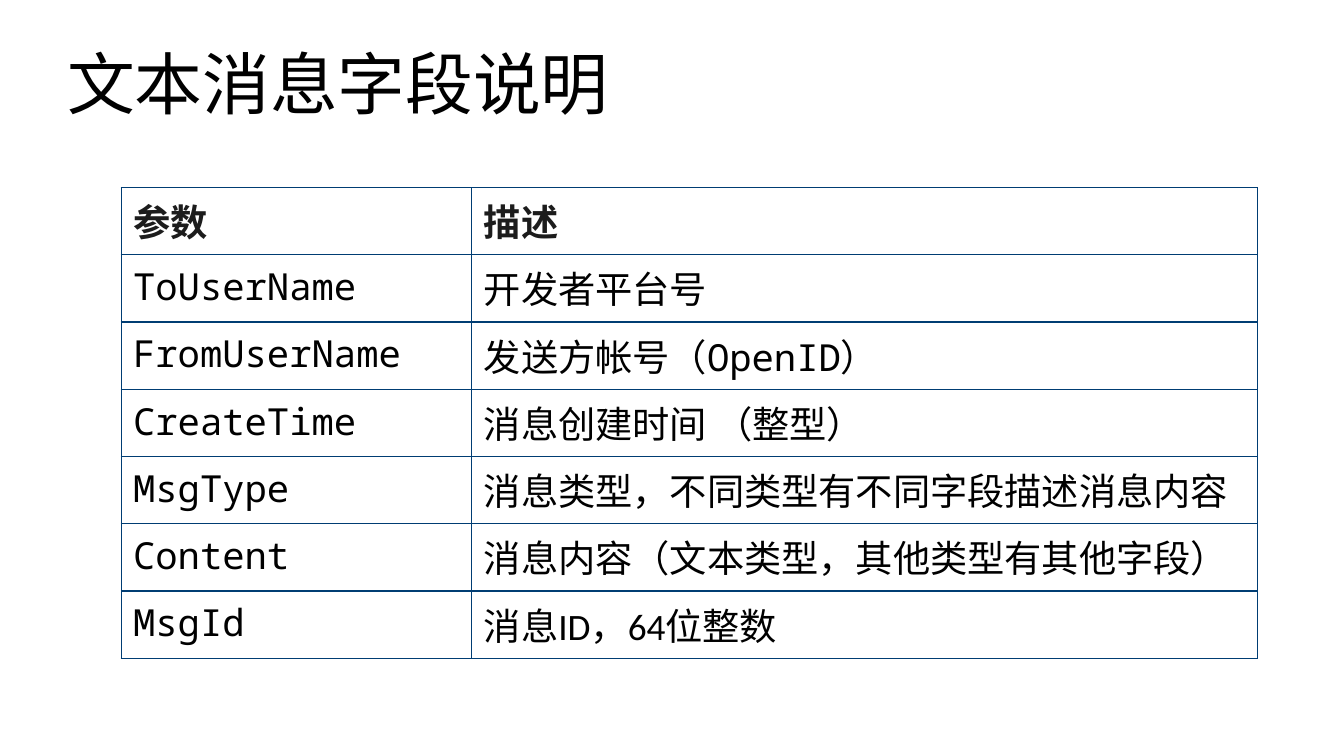
from dataclasses import dataclass

import lxml.etree
import pptx
import pptx.dml.color
import pptx.enum.text
import pptx.oxml.ns
import pptx.slide
import pptx.table
import pptx.util

BLACK = pptx.dml.color.RGBColor(0x00, 0x00, 0x00)
CHARCOAL = pptx.dml.color.RGBColor(0x1C, 0x1C, 0x1C)
NAVY = pptx.dml.color.RGBColor(0x00, 0x3D, 0x73)

SLIDE_WIDTH = pptx.util.Inches(11.02)
SLIDE_HEIGHT = pptx.util.Inches(6.2)
COLUMN_SHARES = (0.261, 0.585)
ROW_SHARE = 0.089
OUTER_LINE = pptx.util.Pt(0.57)
INNER_LINE = pptx.util.Pt(0.85)
SANS = "Calibri"
MONO = "Noto Sans Mono"


@dataclass(frozen=True)
class Field:
    name: str
    description: str
    name_font: str = MONO
    description_font: str = SANS
    color: pptx.dml.color.RGBColor = BLACK
    bold: bool = False


FIELDS = (
    Field("参数", "描述", name_font=SANS, color=CHARCOAL, bold=True),
    Field("ToUserName", "开发者平台号", description_font=MONO),
    Field("FromUserName", "发送方帐号（OpenID）", description_font=MONO),
    Field("CreateTime", "消息创建时间 （整型）"),
    Field("MsgType", "消息类型，不同类型有不同字段描述消息内容"),
    Field("Content", "消息内容（文本类型，其他类型有其他字段）"),
    Field("MsgId", "消息ID，64位整数"),
)


def across(share: float) -> int:
    return round(SLIDE_WIDTH * share)


def down(share: float) -> int:
    return round(SLIDE_HEIGHT * share)


def draw_title(slide: pptx.slide.Slide, text: str) -> None:
    title = slide.shapes.title
    title.left, title.top = across(0.05), down(0.04)
    title.width, title.height = across(0.9), down(0.139)
    frame = title.text_frame
    frame.text = text
    frame.auto_size = pptx.enum.text.MSO_AUTO_SIZE.NONE
    frame.vertical_anchor = pptx.enum.text.MSO_ANCHOR.MIDDLE
    frame.margin_left = frame.margin_right = 0
    frame.margin_top = frame.margin_bottom = 0
    paragraph = frame.paragraphs[0]
    paragraph.alignment = pptx.enum.text.PP_ALIGN.LEFT
    font = paragraph.runs[0].font
    font.name = "Courier New"
    font.size = pptx.util.Pt(40)
    font.color.rgb = BLACK


def draw_borders(cell: pptx.table._Cell, outer_sides: dict[str, bool]) -> None:
    properties = cell._tc.get_or_add_tcPr()
    for position, (side, outer) in enumerate(outer_sides.items()):
        line = lxml.etree.Element(pptx.oxml.ns.qn(f"a:ln{side}"))
        line.set("w", str(int(OUTER_LINE if outer else INNER_LINE)))
        fill = lxml.etree.SubElement(line, pptx.oxml.ns.qn("a:solidFill"))
        color = lxml.etree.SubElement(fill, pptx.oxml.ns.qn("a:srgbClr"))
        color.set("val", str(NAVY))
        properties.insert(position, line)


def fill_cell(cell: pptx.table._Cell, text: str, font_name: str, field: Field) -> None:
    cell.fill.background()
    cell.text_frame.text = text
    font = cell.text_frame.paragraphs[0].runs[0].font
    font.name = font_name
    font.size = pptx.util.Pt(22)
    font.bold = field.bold
    font.color.rgb = field.color


def draw_table(slide: pptx.slide.Slide, fields: tuple[Field, ...]) -> None:
    table = slide.shapes.add_table(
        len(fields), len(COLUMN_SHARES), across(0.09), down(0.248),
        across(sum(COLUMN_SHARES)), down(ROW_SHARE * len(fields)),
    ).table
    table.first_row = False
    table.horz_banding = False
    for column, share in zip(table.columns, COLUMN_SHARES):
        column.width = across(share)
    last_row, last_column = len(fields) - 1, len(COLUMN_SHARES) - 1
    for row_index, field in enumerate(fields):
        table.rows[row_index].height = down(ROW_SHARE)
        contents = (
            (field.name, field.name_font),
            (field.description, field.description_font),
        )
        for column_index, (text, font_name) in enumerate(contents):
            cell = table.cell(row_index, column_index)
            fill_cell(cell, text, font_name, field)
            draw_borders(cell, {
                "L": column_index == 0,
                "R": column_index == last_column,
                "T": row_index == 0,
                "B": row_index == last_row,
            })


def main() -> None:
    presentation = pptx.Presentation()
    presentation.slide_width = SLIDE_WIDTH
    presentation.slide_height = SLIDE_HEIGHT
    slide = presentation.slides.add_slide(presentation.slide_layouts.get_by_name("Title Only"))
    draw_title(slide, "文本消息字段说明")
    draw_table(slide, FIELDS)
    presentation.save("out.pptx")


if __name__ == "__main__":
    main()
